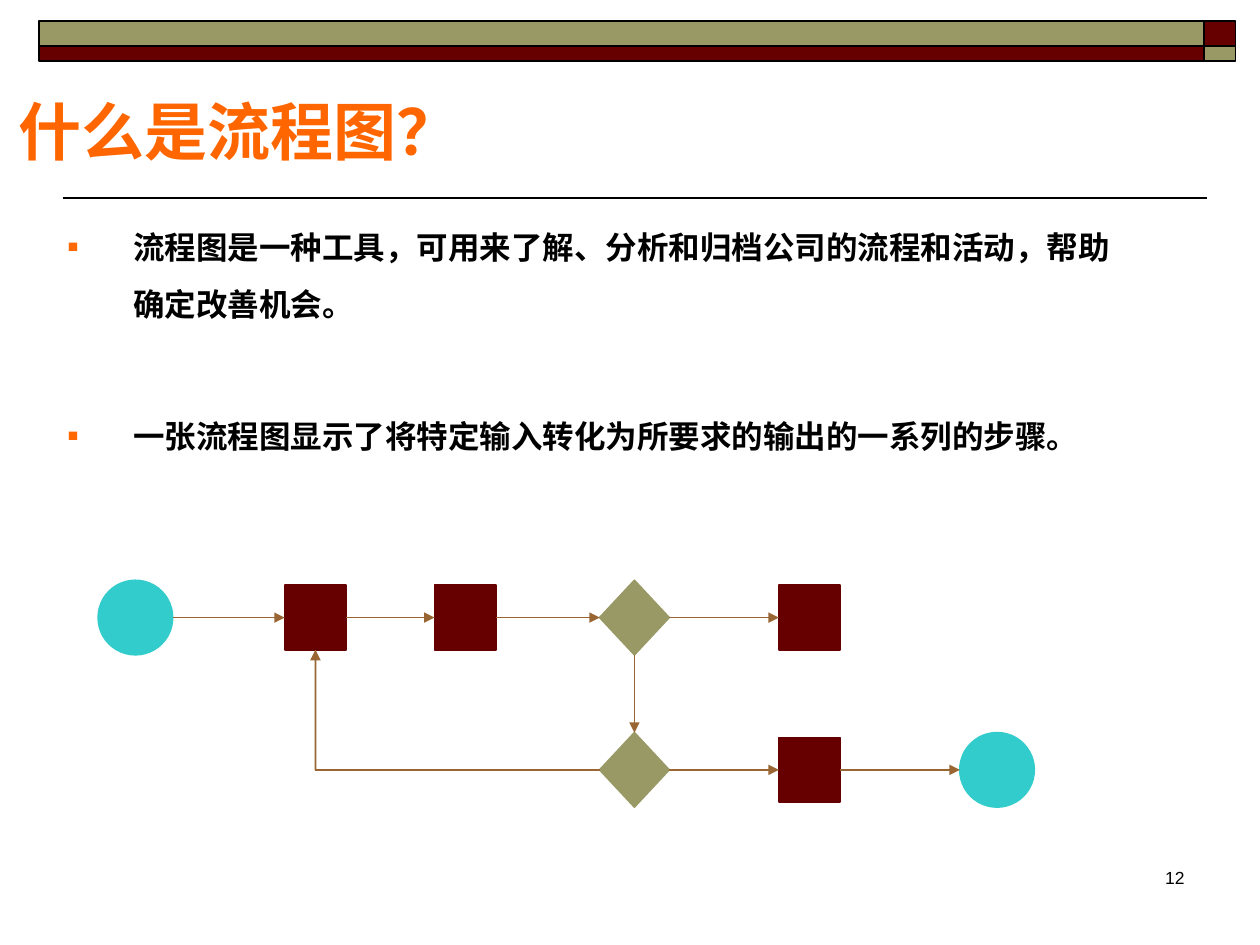
from lxml import etree
from pptx import Presentation
from pptx import util as u
from pptx.dml.color import RGBColor
from pptx.enum import shapes, text
from pptx.oxml import ns

COLORS = {
    "maroon": "660000", "olive": "999966", "teal": "33CCCC", "arrow": "996633",
    "black": "000000", "title": "FF6600", "bullet": "FF6903",
}
CJK = "Noto Sans CJK SC"
TOP, LEFT, BOTTOM, RIGHT = range(4)


def color(name):
    return RGBColor.from_string(COLORS[name])


def add_xml(parent, tag, **attributes):
    return etree.SubElement(parent, ns.qn(tag), attributes)


def add_block(slide, kind, x, y, width, height, fill, line=None):
    block = slide.shapes.add_shape(kind, u.Cm(x), u.Cm(y), u.Cm(width), u.Cm(height))
    block.shadow.inherit = False
    block.fill.solid()
    block.fill.fore_color.rgb = color(fill)
    block.line.color.rgb = color(line or fill)
    block.line.width = u.Pt(1)
    return block


def add_line(slide, start, end, line, arrow=False):
    connector = slide.shapes.add_connector(
        shapes.MSO_CONNECTOR.STRAIGHT, *(u.Cm(value) for value in (*start, *end)))
    connector.line.color.rgb = color(line)
    connector.line.width = u.Pt(1)
    if arrow:
        add_xml(connector.line._get_or_add_ln(), "a:tailEnd", type="triangle")
    add_xml(connector._element.spPr, "a:effectLst")
    return connector


def style(paragraph, size, font_name, font_color, bold=False):
    font = paragraph.font
    font.size, font.name, font.bold = u.Pt(size), font_name, bold
    font.color.rgb = color(font_color)
    east_asian = etree.Element(ns.qn("a:ea"), {"typeface": font_name})
    font._element.find(ns.qn("a:latin")).addnext(east_asian)


def set_bullet(paragraph, indent):
    properties = paragraph._p.get_or_add_pPr()
    properties.set("marL", str(u.Cm(indent)))
    properties.set("indent", str(-u.Cm(indent)))
    defaults = properties.find(ns.qn("a:defRPr"))
    bullet_color = add_xml(properties, "a:buClr")
    add_xml(bullet_color, "a:srgbClr", val=COLORS["bullet"])
    add_xml(properties, "a:buSzPct", val="55000")
    add_xml(properties, "a:buFont", typeface="Arial")
    add_xml(properties, "a:buChar", char="■")
    properties.append(defaults)


def add_banner(slide, x, y, width, height):
    corner, upper = 0.64, 0.51
    bar, lower = width - corner, height - upper
    for dx, dy, w, h, fill in (
        (bar, 0, corner, upper, "maroon"), (0, 0, bar, upper, "olive"),
        (0, upper, bar, lower, "maroon"), (bar, upper, corner, lower, "olive"),
    ):
        add_block(slide, shapes.MSO_SHAPE.RECTANGLE, x + dx, y + dy, w, h, fill, "black")


def add_title(slide, x, y, width, height):
    title = slide.shapes.title
    title.left, title.top, title.width, title.height = map(u.Cm, (x, y, width, height))
    frame = title.text_frame
    frame.text = "什么是流程图？"
    frame.auto_size = text.MSO_AUTO_SIZE.NONE
    frame.vertical_anchor = text.MSO_ANCHOR.MIDDLE
    heading = frame.paragraphs[0]
    heading.alignment = text.PP_ALIGN.LEFT
    style(heading, 36, CJK, "title", True)


def add_points(slide, x, y, width, height):
    frame = slide.shapes.add_textbox(*map(u.Cm, (x, y, width, height))).text_frame
    frame.word_wrap = True
    frame.text = ("流程图是一种工具，可用来了解、分析和归档公司的流程和活动，帮助确定改善机会。\n"
                  "一张流程图显示了将特定输入转化为所要求的输出的一系列的步骤。")
    for point, gap in zip(frame.paragraphs, (5.6, 43)):
        point.line_spacing = 1.5
        point.space_before = u.Pt(gap)
        style(point, 18, CJK, "black", True)
        set_bullet(point, 1.32)


def add_flow(slide, x, y):
    columns = [x + dx for dx in (0.75, 4.38, 7.4, 10.81, 14.34, 18.12)]
    rows = [y + 0.75, y + 3.82]
    kinds = {
        "terminal": (shapes.MSO_SHAPE.OVAL, 1.5, 1.5, "teal"),
        "step": (shapes.MSO_SHAPE.RECTANGLE, 1.24, 1.3, "maroon"),
        "decision": (shapes.MSO_SHAPE.DIAMOND, 1.4, 1.5, "olive"),
    }

    def add_node(kind, column, row):
        preset, width, height, fill = kinds[kind]
        return add_block(slide, preset, columns[column] - width / 2,
                         rows[row] - height / 2, width, height, fill)

    def join(source, source_side, target, target_side):
        arrow = add_line(slide, (x, y), (x, y), "arrow", True)
        arrow.begin_connect(source, source_side)
        arrow.end_connect(target, target_side)

    add_node("terminal", 0, 0)
    first, second = add_node("step", 1, 0), add_node("step", 2, 0)
    upper_check, lower_check = add_node("decision", 3, 0), add_node("decision", 3, 1)
    upper_step, lower_step = add_node("step", 4, 0), add_node("step", 4, 1)
    add_node("terminal", 5, 1)

    for source, target in ((first, second), (second, upper_check),
                           (upper_check, upper_step), (lower_check, lower_step)):
        join(source, RIGHT, target, LEFT)
    join(upper_check, BOTTOM, lower_check, TOP)

    radius = kinds["terminal"][1] / 2
    entry = add_line(slide, (columns[0] + radius, rows[0]), (columns[1], rows[0]), "arrow", True)
    entry.end_connect(first, LEFT)
    leave = add_line(slide, (columns[4], rows[1]), (columns[5] - radius, rows[1]), "arrow", True)
    leave.begin_connect(lower_step, RIGHT)

    corner = (columns[1], rows[1])
    back = add_line(slide, (columns[3], rows[1]), corner, "arrow")
    back.begin_connect(lower_check, LEFT)
    rise = add_line(slide, corner, (columns[1], rows[0]), "arrow", True)
    rise.end_connect(first, BOTTOM)


def add_page_number(slide, x, y, width, height):
    frame = slide.shapes.add_textbox(*map(u.Cm, (x, y, width, height))).text_frame
    frame.word_wrap = True
    frame.text = "12"
    number = frame.paragraphs[0]
    number.alignment = text.PP_ALIGN.RIGHT
    style(number, 10, "Arial", "black")


def main():
    deck = Presentation()
    deck.slide_width, deck.slide_height = u.Cm(25.4), u.Cm(19.05)
    slide = deck.slides.add_slide(deck.slide_layouts.get_by_name("Title Only"))
    add_line(slide, (24.33, 3.99), (1.27, 3.99), "black")
    add_banner(slide, 0.78, 0.42, 24.13, 0.81)
    add_title(slide, 0.11, 1.35, 11.33, 2.54)
    add_points(slide, 1.12, 4.09, 21.82, 6.68)
    add_flow(slide, 1.98, 11.7)
    add_page_number(slide, 18.85, 17.35, 5.28, 1.27)
    deck.save("out.pptx")


if __name__ == "__main__":
    main()
